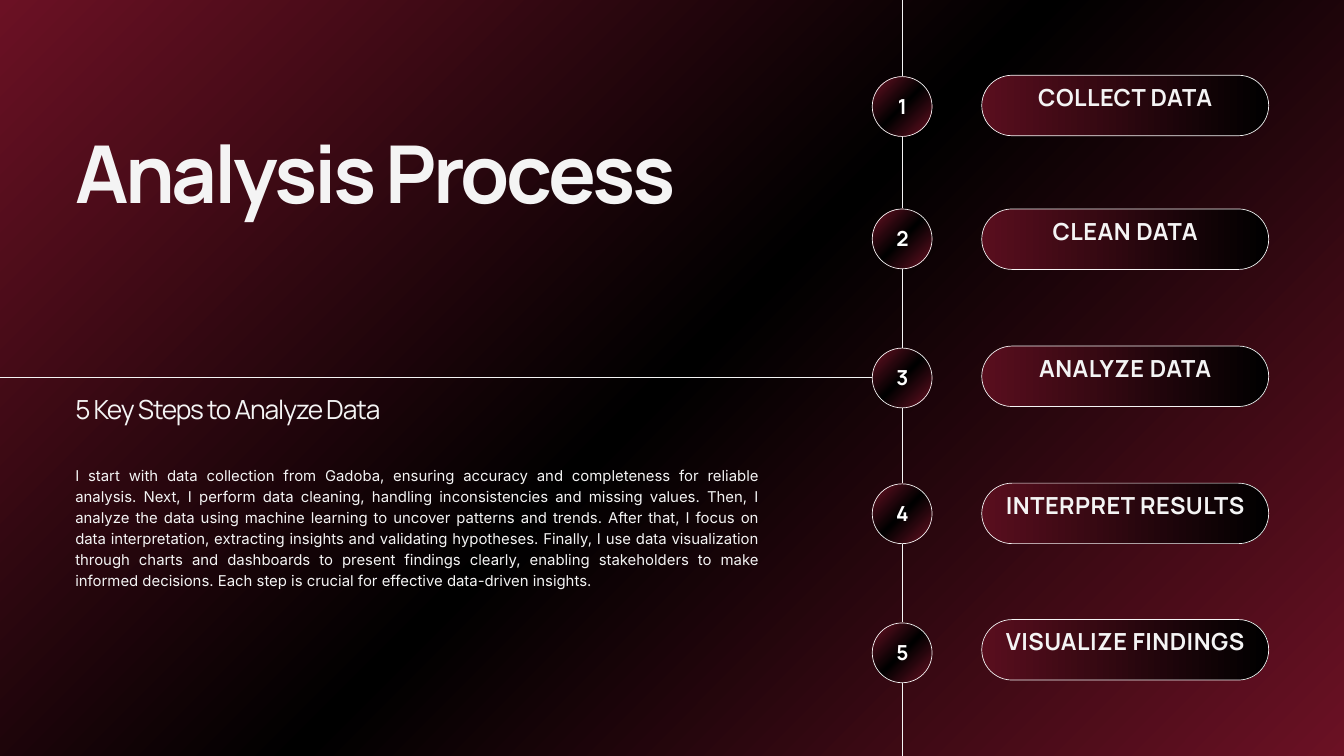
from copy import deepcopy

from lxml import etree
from pptx import Presentation
from pptx.dml.color import RGBColor
from pptx.enum.shapes import MSO_CONNECTOR, MSO_SHAPE
from pptx.enum.text import MSO_ANCHOR, PP_ALIGN
from pptx.oxml.ns import qn
from pptx.util import Inches, Pt

LINE = MSO_CONNECTOR.STRAIGHT
PILL, DISC = MSO_SHAPE.ROUNDED_RECTANGLE, MSO_SHAPE.OVAL
TOP, MID = MSO_ANCHOR.TOP, MSO_ANCHOR.MIDDLE
LEFT, CENTER, FULL = PP_ALIGN.LEFT, PP_ALIGN.CENTER, PP_ALIGN.JUSTIFY

COLS, ROWS = 20, 11.25  # grid of square cells, one inch each
HEX = {"wine": "6B1124", "plum": "590E1E", "black": "000000",
       "pale": "F4F4F4", "white": "FFFFFF"}
SHEEN = ["wine", "black", "wine"]
FADE = ["plum", "black"]
HEAD, BODY = "Manrope", "Inter"
AXIS, SPLIT = 13.43, 5.62  # column of the timeline, row of the divider

# label, row of the disc's top, row of the pill's top
STEPS = [("COLLECT DATA", 1.14, 1.12), ("CLEAN DATA", 3.11, 3.11),
         ("ANALYZE DATA", 5.18, 5.15), ("INTERPRET RESULTS", 7.2, 7.19),
         ("VISUALIZE FINDINGS", 9.27, 9.22)]
STORY = (
    "I start with data collection from Gadoba, ensuring accuracy and "
    "completeness for reliable analysis. Next, I perform data cleaning, "
    "handling inconsistencies and missing values. Then, I analyze the data "
    "using machine learning to uncover patterns and trends. After that, I "
    "focus on data interpretation, extracting insights and validating "
    "hypotheses. Finally, I use data visualization through charts and "
    "dashboards to present findings clearly, enabling stakeholders to make "
    "informed decisions. Each step is crucial for effective data-driven "
    "insights.")


def rgb(name):
    return RGBColor.from_string(HEX[name])


def cells(*nums):
    return [Inches(n) for n in nums]


def blend(fill, root, names, angle):
    """Fill with evenly spaced colours; root is the XML that holds the fill."""
    fill.gradient()
    fill.gradient_angle = angle
    stops = next(root.iter(qn("a:gsLst")))
    for _ in names[2:]:
        stops.append(deepcopy(stops[0]))
    for i, (stop, name) in enumerate(zip(fill.gradient_stops, names)):
        stop.color.rgb = rgb(name)
        stop.position = i / (len(names) - 1)


def stroke(line):
    line.color.rgb = rgb("pale")
    line.width = Pt(0.75)


def rule(slide, *ends):
    line = slide.shapes.add_connector(LINE, *cells(*ends))
    stroke(line.line)
    etree.SubElement(line._element.spPr, qn("a:effectLst"))


def badge(slide, kind, box, names, angle):
    shape = slide.shapes.add_shape(kind, *cells(*box))
    shape.shadow.inherit = False
    blend(shape.fill, shape._element.spPr, names, angle)
    stroke(shape.line)
    return shape


def write(slide, box, text, size, lead, font=HEAD, color="pale", bold=False,
          track=0, align=LEFT, anchor=TOP, inset=0):
    frame = slide.shapes.add_textbox(*cells(*box)).text_frame
    frame.word_wrap = True
    frame.vertical_anchor = anchor
    frame.margin_left = frame.margin_right = Inches(inset)
    frame.margin_top = frame.margin_bottom = Inches(inset)
    para = frame.paragraphs[0]
    para.alignment = align
    para.line_spacing = Pt(lead)
    run = para.add_run()
    run.text = text
    face = para.font
    face.name, face.size, face.bold = font, Pt(size), bold
    face.color.rgb = rgb(color)
    if track:
        run._r.get_or_add_rPr().set("spc", str(round(track * 100)))


def label(slide, box, text, size, lead, color):
    write(slide, box, text, size, lead, color=color, bold=True, track=0.5,
          align=CENTER, anchor=MID, inset=0.06)


def pill(slide, box, text):
    x, y, w, h = box
    shape = badge(slide, PILL, box, FADE, 0)
    shape.adjustments[0] = 0.5
    label(slide, (x, y - 0.32, w, h + 0.32), text, 25.2, 35.3, "pale")


def disc(slide, box, text):
    x, y, w, h = box
    badge(slide, DISC, box, SHEEN, 315)
    label(slide, (x + 0.09, y + 0.01, w - 0.17, h - 0.1), text, 22.2, 31.1,
          "white")


def timeline(slide, box):
    x, y, w, h = box
    rule(slide, 0, SPLIT, AXIS, SPLIT)
    rule(slide, AXIS, y + h, AXIS, y)
    size, wide, high = 0.89, 4.27, 0.9
    for num, (text, spot, row) in enumerate(STEPS, 1):
        pill(slide, (x + w - wide, y + row, wide, high), text)
        disc(slide, (x, y + spot, size, size), str(num))


def intro(slide, box):
    x, y, w, h = box
    write(slide, (x, y, 9.2, 1.33), "Analysis Process", 85.5, 81.2,
          bold=True, track=-3.6)
    write(slide, (x, y + 3.64, 7.62, 0.53), "5 Key Steps to Analyze Data",
          28.2, 39.5, track=-1.2)
    write(slide, (x, y + h - 1.83, w, 1.83), STORY, 16, 22.4, font=BODY,
          align=FULL)


def main():
    deck = Presentation()
    deck.slide_width, deck.slide_height = cells(COLS, ROWS)
    slide = deck.slides.add_slide(deck.slide_layouts[6])
    blend(slide.background.fill, slide._element, SHEEN, 315)
    timeline(slide, (12.98, 0, 5.9, ROWS))
    intro(slide, (1.12, 2.14, 10.18, 6.59))
    deck.save("out.pptx")


if __name__ == "__main__":
    main()
